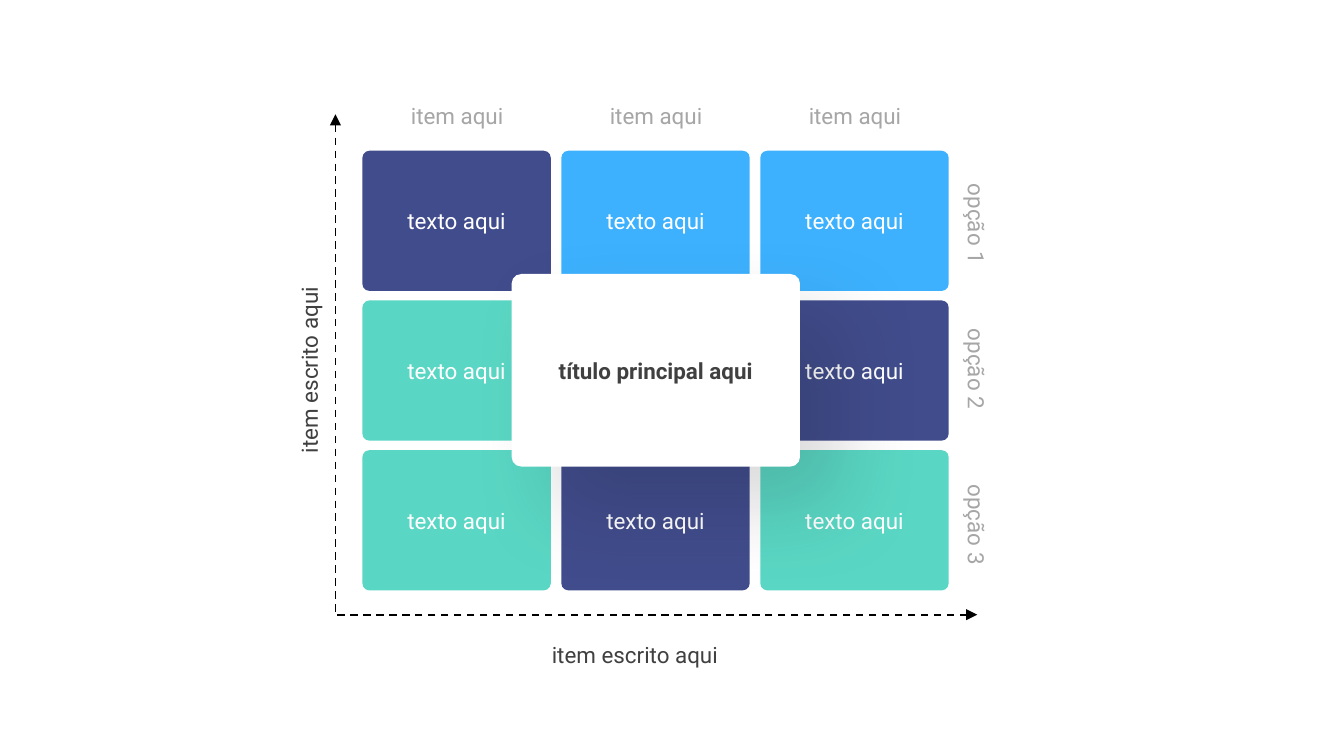
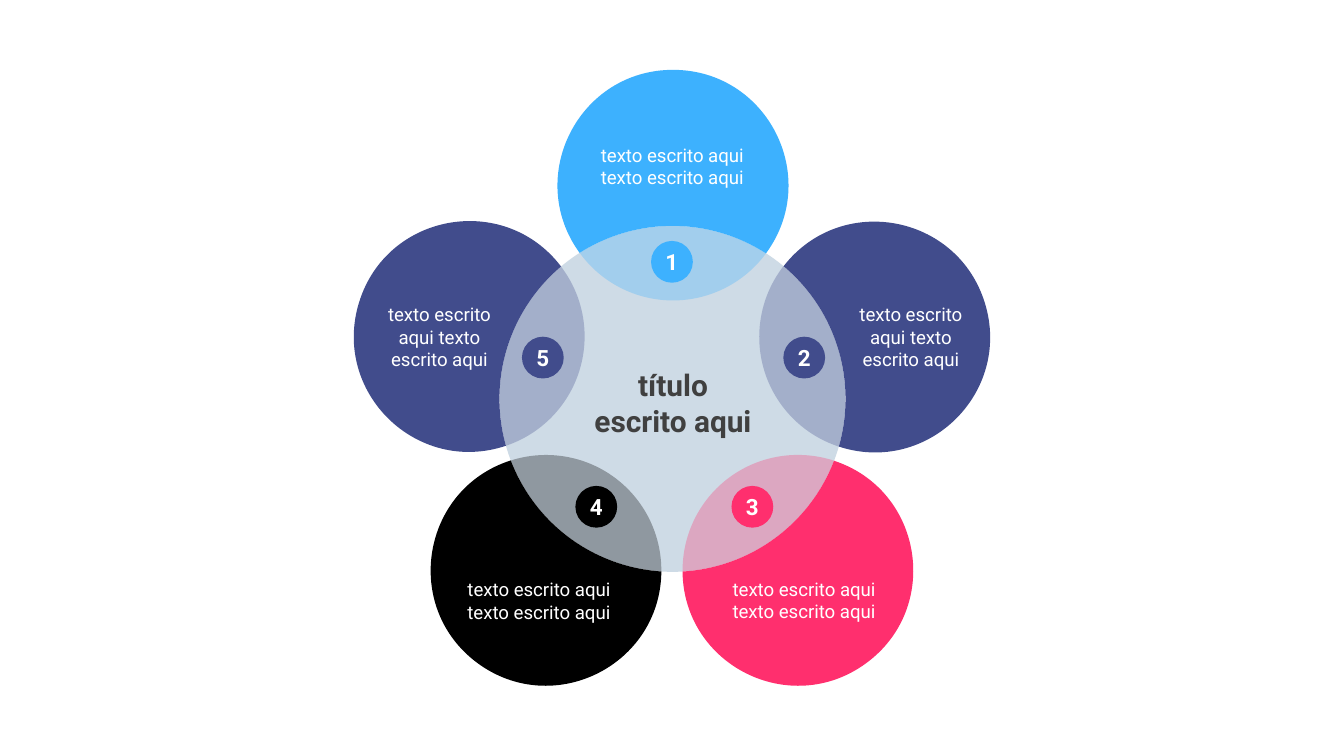
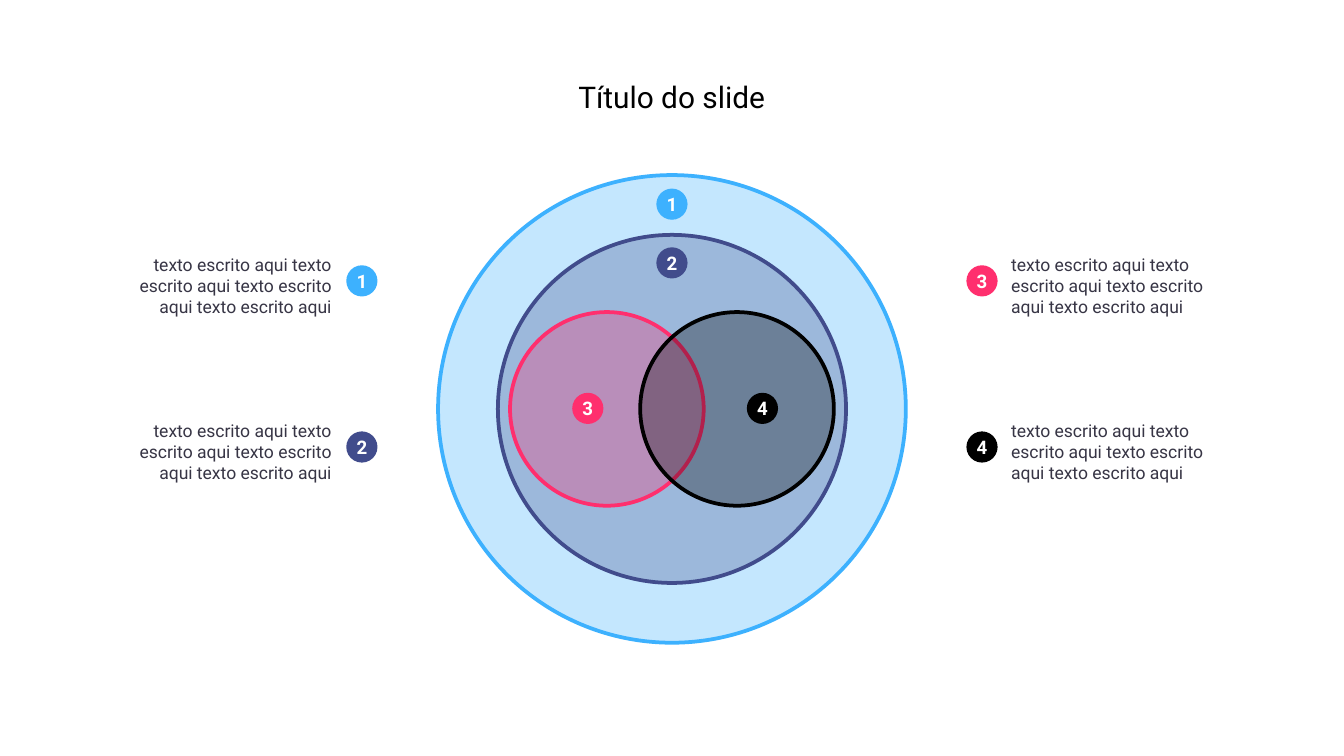
import math

import pptx
import pptx.dml.color
import pptx.enum.dml
import pptx.enum.shapes
import pptx.enum.text
import pptx.oxml
import pptx.oxml.ns
import pptx.util

Cm = pptx.util.Cm
Pt = pptx.util.Pt
SHAPE = pptx.enum.shapes.MSO_SHAPE
ALIGN = pptx.enum.text.PP_ALIGN

FONT = "Roboto"
BLUE, NAVY, TEAL, PINK = "3DB1FE", "414C8C", "5AD7C4", "FF2F6E"
BLACK, WHITE, DARK, GREY, INK, PALE = "000000", "FFFFFF", "404040", "A6A6A6", "373545", "CEDBE6"
TINT = 30
THIN_INSET = 0.05

MATRIX_COLORS = [
    [NAVY, BLUE, BLUE],
    [TEAL, None, NAVY],
    [TEAL, NAVY, TEAL],
]
MATRIX_COLUMNS = ["item aqui"] * 3
MATRIX_ROWS = [("opção 1", 3.79), ("opção 2", 6.53), ("opção 3", 9.47)]
CELL_TEXT = "texto aqui"
MATRIX_TITLE = "título principal aqui"
AXIS_LABEL = "item escrito aqui"
AXES = [(18.47, 11.62, 6.33, 11.62), (6.34, 2.16, 6.34, 11.62)]

HUB_TITLE = "título escrito aqui"
PETAL_TEXT = "texto escrito aqui texto escrito aqui"
HUB = (12.71, 7.54)
HUB_RADIUS, PETAL_RADIUS = 3.27, 2.18
WIDE_CAPTION, NARROW_CAPTION = (2.87, 0.97), (2.11, 1.4)
PETALS = [
    ("1", BLUE, (12.72, 3.5), (12.7, 4.95), (11.27, 2.67), WIDE_CAPTION),
    ("2", NAVY, (16.53, 6.37), (15.2, 6.76), (16.16, 5.68), NARROW_CAPTION),
    ("3", PINK, (15.08, 10.78), (14.22, 9.58), (13.76, 10.87), WIDE_CAPTION),
    ("4", BLACK, (10.32, 10.78), (11.27, 9.58), (8.75, 10.88), WIDE_CAPTION),
    ("5", NAVY, (8.87, 6.36), (10.26, 6.76), (7.25, 5.68), NARROW_CAPTION),
]

RINGS_TITLE = "Título do slide"
LEGEND_TEXT = "texto escrito aqui texto escrito aqui texto escrito aqui texto escrito aqui"
RING_CENTER_Y = 7.73
RINGS = [
    ("1", BLUE, 12.7, 8.84, (12.7, 3.86)),
    ("2", NAVY, 12.7, 6.58, (12.7, 4.97)),
    ("3", PINK, 11.47, 3.66, (11.11, 7.72)),
    ("4", BLACK, 13.93, 3.66, (14.41, 7.72)),
]
LEGEND_SIDES = [(6.84, 1.9, ALIGN.RIGHT), (18.56, 19.06, ALIGN.LEFT)]
LEGEND_ROWS = [5.31, 8.45]


def rgb(color):
    return pptx.dml.color.RGBColor.from_string(color)


def xml(tag, **attributes):
    element = pptx.oxml.parse_xml(f"<{tag} {pptx.oxml.ns.nsdecls('a')}/>")
    for name, value in attributes.items():
        element.set(name, str(value))
    return element


def paint(shape, fill=None, line=None, alpha=None):
    shape.shadow.inherit = False
    if fill:
        shape.fill.solid()
        shape.fill.fore_color.rgb = rgb(fill)
        if alpha:
            color = shape.fill._xPr.find(".//" + pptx.oxml.ns.qn("a:srgbClr"))
            color.append(xml("a:alpha", val=alpha * 1000))
    else:
        shape.fill.background()
    if line:
        shape.line.color.rgb = rgb(line)
        shape.line.width = Pt(2)
    else:
        shape.line.fill.background()


def write(shape, text, size, color, bold=None, align=ALIGN.CENTER, inset=None, spacing=None):
    frame = shape.text_frame
    frame.word_wrap = True
    if inset is not None:
        frame.margin_left = frame.margin_right = Cm(inset)
        frame.margin_top = frame.margin_bottom = Cm(inset)
    frame.text = text
    paragraph = frame.paragraphs[0]
    paragraph.alignment = align
    if spacing:
        paragraph.line_spacing = spacing
    font = paragraph.runs[0].font
    font.name, font.size, font.bold = FONT, Pt(size), bold
    font.color.rgb = rgb(color)


def add_text(slide, box, text, size, color, rotation=0, **style):
    shape = slide.shapes.add_textbox(*map(Cm, box))
    shape.rotation = rotation
    write(shape, text, size, color, **style)
    shape.text_frame.auto_size = pptx.enum.text.MSO_AUTO_SIZE.SHAPE_TO_FIT_TEXT


def add_label(slide, box, text, color, rotation=0):
    add_text(slide, box, text, 12, color, rotation, spacing=1.3)


def add_circle(slide, center, diameter, **look):
    left, top = (value - diameter / 2 for value in center)
    shape = slide.shapes.add_shape(SHAPE.OVAL, Cm(left), Cm(top), Cm(diameter), Cm(diameter))
    paint(shape, **look)
    return shape


def add_badge(slide, center, diameter, number, color, size):
    badge = add_circle(slide, center, diameter, fill=color)
    badge.text_frame.vertical_anchor = pptx.enum.text.MSO_ANCHOR.MIDDLE
    write(badge, number, size, WHITE, bold=True, inset=0)


def add_card(slide, box, text, fill, color, bold=None):
    card = slide.shapes.add_shape(SHAPE.ROUNDED_RECTANGLE, *map(Cm, box))
    card.adjustments[0] = 0.05
    paint(card, fill=fill)
    card.text_frame.vertical_anchor = pptx.enum.text.MSO_ANCHOR.MIDDLE
    write(card, text, 12, color, bold=bold)
    return card


def add_card_shadow(card):
    shadow = xml("a:outerShdw", blurRad=Pt(45), dist=Pt(31), dir=45 * 60000, algn="tl", rotWithShape=0)
    color = xml("a:srgbClr", val="0D0D0D")
    color.append(xml("a:alpha", val=14000))
    shadow.append(color)
    card._element.spPr.find(pptx.oxml.ns.qn("a:effectLst")).append(shadow)


def add_axis(slide, ends):
    axis = slide.shapes.add_connector(pptx.enum.shapes.MSO_CONNECTOR.STRAIGHT, *map(Cm, ends))
    axis.line.color.rgb = rgb(BLACK)
    axis.line.width = Pt(1)
    axis.line.dash_style = pptx.enum.dml.MSO_LINE.DASH
    axis.line._get_or_add_ln().append(xml("a:headEnd", type="triangle"))
    axis._element.spPr.append(xml("a:effectLst"))


def polar(center, radius, angle):
    return center[0] + radius * math.cos(angle), center[1] + radius * math.sin(angle)


def arc_curves(center, radius, start, end, pieces=2):
    step = (end - start) / pieces
    reach = math.hypot(radius, radius * 4 / 3 * math.tan(step / 4))
    lean = math.atan(4 / 3 * math.tan(step / 4))
    curves = []
    for piece in range(pieces):
        begin = start + piece * step
        finish = begin + step
        curves.append([
            polar(center, reach, begin + lean),
            polar(center, reach, finish - lean),
            polar(center, radius, finish),
        ])
    return curves


def arc_bounds(center, radius, start, end, samples=90):
    points = [polar(center, radius, start + (end - start) * i / samples) for i in range(samples + 1)]
    xs, ys = zip(*points)
    return min(xs), min(ys), max(xs), max(ys)


def add_curved_outline(slide, arcs, **look):
    lefts, tops, rights, bottoms = zip(*(arc_bounds(*arc) for arc in arcs))
    left, top, right, bottom = map(Cm, (min(lefts), min(tops), max(rights), max(bottoms)))
    builder = slide.shapes.build_freeform(left, top)
    builder.add_line_segments([(right, top), (right, bottom), (left, bottom)], close=True)
    shape = builder.convert_to_shape()
    outline = shape._element.spPr.find(".//" + pptx.oxml.ns.qn("a:path"))
    for segment in list(outline):
        outline.remove(segment)

    def add_segment(tag, points):
        segment = xml(tag)
        for x, y in points:
            segment.append(xml("a:pt", x=Cm(x) - left, y=Cm(y) - top))
        outline.append(segment)

    center, radius, start, end = arcs[0]
    add_segment("a:moveTo", [polar(center, radius, start)])
    for arc in arcs:
        for curve in arc_curves(*arc):
            add_segment("a:cubicBezTo", curve)
    outline.append(xml("a:close"))
    paint(shape, **look)


def add_petal(slide, center, color):
    distance = math.dist(HUB, center)
    direction = math.atan2(center[1] - HUB[1], center[0] - HUB[0])
    difference = HUB_RADIUS**2 - PETAL_RADIUS**2
    hub_half = math.acos((distance**2 + difference) / (2 * distance * HUB_RADIUS))
    petal_half = math.acos((distance**2 - difference) / (2 * distance * PETAL_RADIUS))
    hub_arc = (HUB, HUB_RADIUS, direction - hub_half, direction + hub_half)
    start = direction + math.pi - petal_half
    outer_arc = (center, PETAL_RADIUS, start, direction - math.pi + petal_half)
    inner_arc = (center, PETAL_RADIUS, start, direction + math.pi + petal_half)
    add_curved_outline(slide, [hub_arc, outer_arc], fill=color)
    add_curved_outline(slide, [hub_arc, inner_arc], fill=color, alpha=TINT)


def build_matrix(slide):
    left, top, width, height = 6.85, 2.85, 3.56, 2.65
    column_step, row_step = 3.76, 2.83
    for axis in AXES:
        add_axis(slide, axis)
    for row, colors in enumerate(MATRIX_COLORS):
        for column, color in enumerate(colors):
            if color:
                box = (left + column * column_step, top + row * row_step, width, height)
                add_card(slide, box, CELL_TEXT, color, WHITE)
    add_card_shadow(add_card(slide, (9.67, 5.18, 5.45, 3.64), MATRIX_TITLE, WHITE, DARK, bold=True))
    add_label(slide, (2.54, 6.55, 6.43, 0.89), AXIS_LABEL, DARK, 270)
    add_label(slide, (6.07, 11.84, 11.86, 0.89), AXIS_LABEL, DARK)
    for column, text in enumerate(MATRIX_COLUMNS):
        add_label(slide, (6.66 + column * column_step, 1.65, 3.96, 0.89), text, GREY)
    for text, label_top in MATRIX_ROWS:
        add_label(slide, (17.07, label_top, 2.95, 0.89), text, GREY, 90)


def build_petals(slide):
    add_circle(slide, HUB, 2 * HUB_RADIUS, fill=PALE)
    for number, color, center, badge, caption, caption_size in PETALS:
        add_petal(slide, center, color)
    add_text(slide, (11.08, 6.88, 3.28, 1.47), HUB_TITLE, 16, DARK, bold=True, inset=THIN_INSET)
    for number, color, center, badge, caption, caption_size in PETALS:
        add_text(slide, caption + caption_size, PETAL_TEXT, 10, WHITE, inset=THIN_INSET)
        add_badge(slide, badge, 0.79, number, color, 12)


def build_rings(slide):
    for number, color, center_x, diameter, badge in RINGS:
        center = (center_x, RING_CENTER_Y)
        add_circle(slide, center, diameter, line=color)
        add_circle(slide, center, diameter, fill=color, alpha=TINT)
    for index, (number, color, center_x, diameter, badge) in enumerate(RINGS):
        side, row = divmod(index, len(LEGEND_ROWS))
        badge_x, text_left, align = LEGEND_SIDES[side]
        center_y = LEGEND_ROWS[row]
        add_badge(slide, badge, 0.59, number, color, 10)
        add_badge(slide, (badge_x, center_y), 0.59, number, color, 10)
        add_text(slide, (text_left, center_y - 0.56, 4.41, 1.32), LEGEND_TEXT, 9.4, INK,
                 align=align, inset=THIN_INSET)
    add_text(slide, (9.43, 1.43, 6.53, 0.79), RINGS_TITLE, 16, BLACK, inset=THIN_INSET)


def main():
    presentation = pptx.Presentation()
    presentation.slide_width = Cm(25.4)
    presentation.slide_height = Cm(14.29)
    for build in (build_matrix, build_petals, build_rings):
        build(presentation.slides.add_slide(presentation.slide_layouts[6]))
    presentation.save("out.pptx")


if __name__ == "__main__":
    main()
